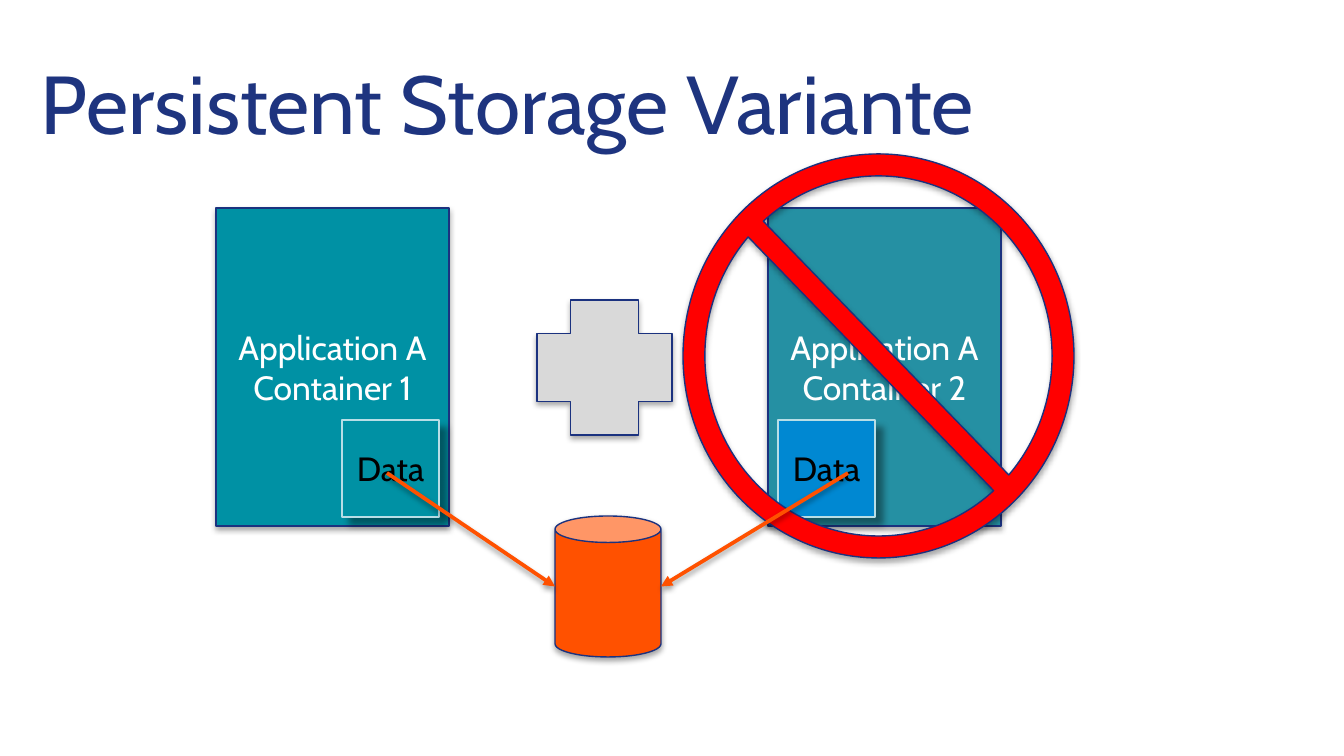
"""Build the "Persistent Storage Variante" slide."""
from lxml import etree
from pptx import Presentation
from pptx.dml.color import RGBColor
from pptx.enum.shapes import MSO_CONNECTOR, MSO_SHAPE
from pptx.enum.text import MSO_ANCHOR, PP_ALIGN
from pptx.oxml import parse_xml
from pptx.oxml.ns import nsdecls, qn
from pptx.util import Emu, Pt

RECTANGLE, CAN = MSO_SHAPE.RECTANGLE, MSO_SHAPE.CAN
CROSS, NO_SYMBOL = MSO_SHAPE.CROSS, MSO_SHAPE.NO_SYMBOL
STRAIGHT = MSO_CONNECTOR.STRAIGHT
MIDDLE, CENTER = MSO_ANCHOR.MIDDLE, PP_ALIGN.CENTER

NAVY = RGBColor(0x1B, 0x32, 0x7F)
TITLE_BLUE = RGBColor(0x1E, 0x34, 0x7F)
TEAL = RGBColor(0x00, 0x91, 0xA4)
MUTED_TEAL = RGBColor(0x25, 0x90, 0xA3)
BLUE = RGBColor(0x00, 0x88, 0xD2)
PALE_TEAL = RGBColor(0xB8, 0xDE, 0xE6)
ORANGE = RGBColor(0xFF, 0x51, 0x00)
RED = RGBColor(0xFF, 0x00, 0x00)
GREY = RGBColor(0xD9, 0xD9, 0xD9)
WHITE = RGBColor(0xFF, 0xFF, 0xFF)
BLACK = RGBColor(0x00, 0x00, 0x00)

FONT = "Cabin"
SCALE = 914400 / 134.4
SLIDE_SIZE = (1344, 756)

TITLE = "Persistent Storage Variante"
TITLE_BOX = (27, 39, 1281, 126)
CONTAINER_TOP, CONTAINER_SIZE = 208, (233, 318)
DATA_TOP, DATA_SIZE = 420, (97, 97)
CONTAINERS = [
    {"lines": ["Application A", "Container 2"], "left": 768, "fill": MUTED_TEAL,
     "data_left": 778, "data_fill": BLUE},
    {"lines": ["Application A", "Container 1"], "left": 216, "fill": TEAL,
     "data_left": 342, "data_fill": TEAL},
]
STORAGE_BOX = (555, 516, 106, 141)
PLUS_BOX = (537, 300, 135, 135)
BAN_BOX = (683, 154, 391, 404)
BAN_THICKNESS = 0.056
ARROW_TOP, ARROW_LEFT_START, ARROW_RIGHT_START = 473, 387, 848

SOFT_SHADOW = (35, 3.1, 1.8, 90)
DATA_SHADOW = (40, 4, 6, 45)
ARROW_SHADOW = (38, 3.1, 1.6, 90)


def px(*lengths):
    return [Emu(round(length * SCALE)) for length in lengths]


def cast_shadow(part, shadow):
    opacity, blur, distance, angle = shadow
    part._element.spPr.append(parse_xml(
        f'<a:effectLst {nsdecls("a")}><a:outerShdw blurRad="{Pt(blur)}" '
        f'dist="{Pt(distance)}" dir="{angle * 60000}" rotWithShape="0">'
        f'<a:srgbClr val="000000"><a:alpha val="{opacity * 1000}"/></a:srgbClr>'
        '</a:outerShdw></a:effectLst>'))


def add_block(slide, kind, box, fill, border=NAVY, shadow=SOFT_SHADOW,
              lines=(), text_color=WHITE):
    block = slide.shapes.add_shape(kind, *px(*box))
    block.fill.solid()
    block.fill.fore_color.rgb = fill
    block.line.color.rgb = border
    block.line.width = Pt(0.75)
    cast_shadow(block, shadow)
    if lines:
        frame = block.text_frame
        frame.word_wrap = True
        frame.vertical_anchor = MIDDLE
        frame.margin_left = frame.margin_right = 0
        frame.text = "\n".join(lines)
        for paragraph in frame.paragraphs:
            paragraph.alignment = CENTER
            paragraph.font.name = FONT
            paragraph.font.size = Pt(18)
            paragraph.font.color.rgb = text_color
    return block


def add_arrow(slide, start, end):
    arrow = slide.shapes.add_connector(STRAIGHT, *px(*start, *end))
    arrow.line.color.rgb = ORANGE
    arrow.line.width = Pt(2)
    etree.SubElement(arrow.line._get_or_add_ln(), qn("a:tailEnd"), type="triangle")
    cast_shadow(arrow, ARROW_SHADOW)


def add_title(slide):
    title = slide.shapes.title
    title.left, title.top, title.width, title.height = px(*TITLE_BOX)
    title.text_frame.text = TITLE
    title.text_frame.vertical_anchor = MIDDLE
    heading = title.text_frame.paragraphs[0]
    heading.alignment = PP_ALIGN.LEFT
    heading.font.name = FONT
    heading.font.size = Pt(44)
    heading.font.color.rgb = TITLE_BLUE


def main():
    deck = Presentation()
    deck.slide_width, deck.slide_height = px(*SLIDE_SIZE)
    slide = deck.slides.add_slide(deck.slide_layouts[5])
    add_title(slide)

    add_block(slide, CAN, STORAGE_BOX, ORANGE)
    for container in CONTAINERS:
        add_block(slide, RECTANGLE, (container["left"], CONTAINER_TOP, *CONTAINER_SIZE),
                  container["fill"], lines=container["lines"])
        add_block(slide, RECTANGLE, (container["data_left"], DATA_TOP, *DATA_SIZE),
                  container["data_fill"], PALE_TEAL, DATA_SHADOW, ["Data"], BLACK)
    add_block(slide, CROSS, PLUS_BOX, GREY)
    ban = add_block(slide, NO_SYMBOL, BAN_BOX, RED)
    ban.adjustments[0] = BAN_THICKNESS

    left, top, width, height = STORAGE_BOX
    middle = top + height / 2
    add_arrow(slide, (ARROW_LEFT_START, ARROW_TOP), (left, middle))
    add_arrow(slide, (ARROW_RIGHT_START, ARROW_TOP), (left + width, middle))

    deck.save("out.pptx")


if __name__ == "__main__":
    main()
